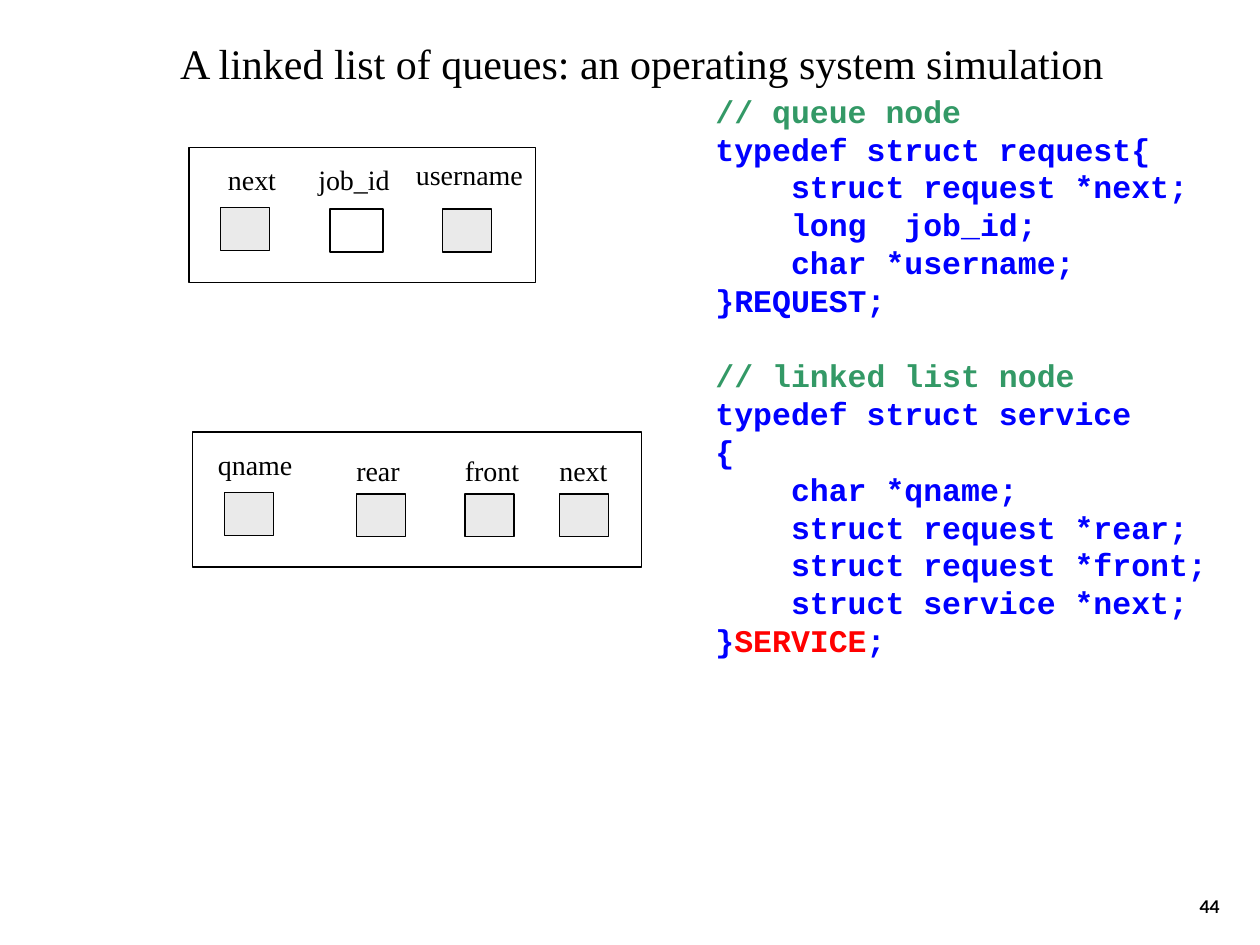
from dataclasses import dataclass

from pptx import Presentation
from pptx.dml.color import RGBColor
from pptx.enum.shapes import MSO_SHAPE
from pptx.enum.text import MSO_ANCHOR, PP_ALIGN
from pptx.util import Inches, Pt

RECTANGLE = MSO_SHAPE.RECTANGLE
TOP, BOTTOM = MSO_ANCHOR.TOP, MSO_ANCHOR.BOTTOM
LEFT, CENTER, RIGHT = PP_ALIGN.LEFT, PP_ALIGN.CENTER, PP_ALIGN.RIGHT
TITLE_ONLY = 5


@dataclass(frozen=True)
class Theme:
    black: str = "000000"
    white: str = "FFFFFF"
    pointer: str = "EAEAEA"
    code: str = "0000FF"
    comment: str = "339966"
    highlight: str = "FF0000"
    serif: str = "Times New Roman"
    mono: str = "Courier New"
    sans: str = "Lato"
    title_size: int = 24
    code_size: int = 18
    label_size: int = 16
    number_size: int = 10
    code_pitch: float = 21.6
    line_width: float = 0.75


THEME = Theme()

QUEUE_NODE_CODE = [
    [("// queue node", THEME.comment)],
    [("typedef struct request{", THEME.code)],
    [("    struct request *next;", THEME.code)],
    [("    long  job_id;", THEME.code)],
    [("    char *username;", THEME.code)],
    [("}REQUEST;", THEME.code)],
]
LIST_NODE_CODE = [
    [("// linked list node", THEME.comment)],
    [("typedef struct service", THEME.code)],
    [("{", THEME.code)],
    [("    char *qname;", THEME.code)],
    [("    struct request *rear;", THEME.code)],
    [("    struct request *front;", THEME.code)],
    [("    struct service *next;", THEME.code)],
    [("}", THEME.code), ("SERVICE", THEME.highlight), (";", THEME.code)],
]

# Each field: name, label box and cell box (left, top, width) relative to the
# node, and cell fill.
REQUEST_FIELDS = [
    ("next", (0.19, 0.07, 0.62), (0.25, 0.48, 0.39), THEME.pointer),
    ("job_id", (0.91, 0.07, 0.8), (1.12, 0.49, 0.42), THEME.white),
    ("username", (1.68, 0.03, 1.09), (2.01, 0.49, 0.39), THEME.pointer),
]
SERVICE_FIELDS = [
    ("qname", (0.08, 0.07, 0.83), (0.25, 0.48, 0.39), THEME.pointer),
    ("rear", (1.18, 0.12, 0.58), (1.3, 0.49, 0.39), THEME.pointer),
    ("front", (2.04, 0.12, 0.67), (2.16, 0.49, 0.39), THEME.pointer),
    ("next", (2.79, 0.12, 0.62), (2.91, 0.49, 0.39), THEME.pointer),
]
LABEL_HEIGHT = 0.37
CELL_HEIGHT = 0.34


def inches(box):
    return [Inches(length) for length in box]


def format_frame(text_frame, anchor=TOP):
    settings = {
        "word_wrap": False,
        "vertical_anchor": anchor,
        "margin_left": Inches(0.1),
        "margin_right": Inches(0.1),
        "margin_top": Inches(0.05),
        "margin_bottom": Inches(0.05),
    }
    for name, value in settings.items():
        setattr(text_frame, name, value)


def add_run(paragraph, text, font_name, size, color=THEME.black, bold=False):
    run = paragraph.add_run()
    run.text = text
    settings = {"name": font_name, "size": Pt(size), "bold": bold}
    for name, value in settings.items():
        setattr(run.font, name, value)
    run.font.color.rgb = RGBColor.from_string(color)


def add_line_of_text(shapes, box, text, font_name, size, alignment, anchor=TOP, bold=False):
    text_frame = shapes.add_textbox(*inches(box)).text_frame
    format_frame(text_frame, anchor)
    paragraph = text_frame.paragraphs[0]
    paragraph.alignment = alignment
    add_run(paragraph, text, font_name, size, bold=bold)


def add_rectangle(shapes, box, fill):
    rectangle = shapes.add_shape(RECTANGLE, *inches(box))
    rectangle.shadow.inherit = False
    rectangle.fill.solid()
    rectangle.fill.fore_color.rgb = RGBColor.from_string(fill)
    rectangle.line.color.rgb = RGBColor.from_string(THEME.black)
    rectangle.line.width = Pt(THEME.line_width)


def place_title(slide, box, text):
    title = slide.shapes.title
    title.left, title.top, title.width, title.height = inches(box)
    format_frame(title.text_frame)
    paragraph = title.text_frame.paragraphs[0]
    paragraph.alignment = LEFT
    add_run(paragraph, text, THEME.serif, THEME.title_size)


def add_code(slide, box, blocks):
    """Write blocks of code lines, one line height apart."""
    text_frame = slide.shapes.add_textbox(*inches(box)).text_frame
    format_frame(text_frame)
    paragraph = text_frame.paragraphs[0]
    for block_index, block in enumerate(blocks):
        for line_index, line in enumerate(block):
            if block_index or line_index:
                paragraph = text_frame.add_paragraph()
            if block_index and not line_index:
                paragraph.space_before = Pt(THEME.code_pitch)
            paragraph.line_spacing = Pt(THEME.code_pitch)
            for text, color in line:
                add_run(paragraph, text, THEME.mono, THEME.code_size, color, bold=True)


def add_node(slide, box, fields):
    """Draw a struct as a frame with a labelled cell for each field."""
    shapes = slide.shapes.add_group_shape().shapes
    left, top = box[:2]
    add_rectangle(shapes, box, THEME.white)
    for name, label, cell, fill in fields:
        label_box = (left + label[0], top + label[1], label[2], LABEL_HEIGHT)
        cell_box = (left + cell[0], top + cell[1], cell[2], CELL_HEIGHT)
        add_line_of_text(shapes, label_box, name, THEME.serif, THEME.label_size, CENTER)
        add_rectangle(shapes, cell_box, fill)


def main():
    presentation = Presentation()
    presentation.slide_width = Inches(10)
    presentation.slide_height = Inches(7.5)
    slide = presentation.slides.add_slide(presentation.slide_layouts[TITLE_ONLY])

    place_title(slide, (1.33, 0.25, 7.55, 0.5),
                "A linked list of queues: an operating system simulation")
    add_code(slide, (5.58, 0.68, 4.1, 4.9), [QUEUE_NODE_CODE, LIST_NODE_CODE])
    add_node(slide, (1.5, 1.17, 2.75, 1.07), REQUEST_FIELDS)
    add_node(slide, (1.53, 3.43, 3.56, 1.07), SERVICE_FIELDS)
    add_line_of_text(slide.shapes, (7.7, 6.83, 2.08, 0.5), "44", THEME.sans,
                     THEME.number_size, RIGHT, BOTTOM, bold=True)

    presentation.save("out.pptx")


if __name__ == "__main__":
    main()
